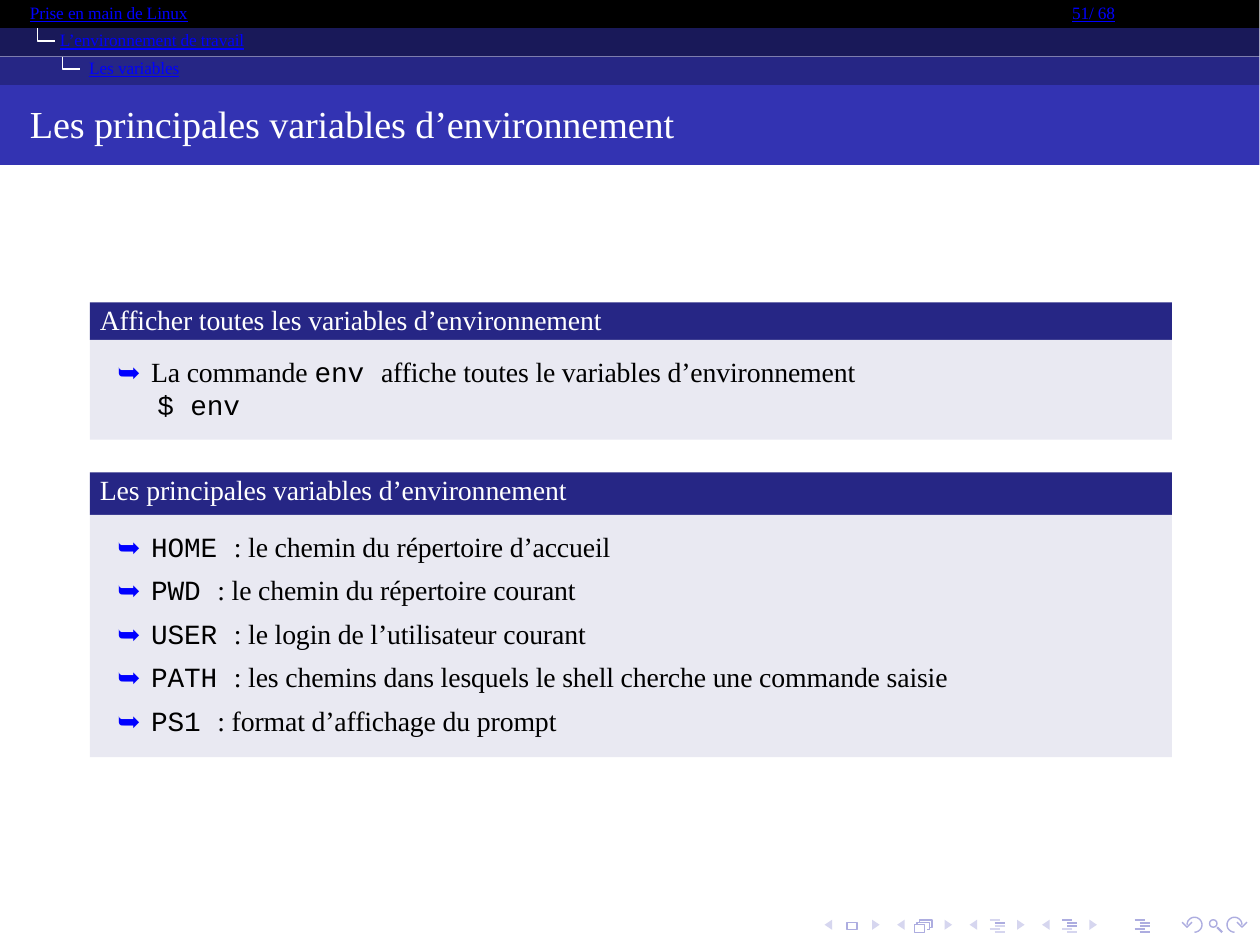
from math import cos, sin, radians
from pptx import Presentation
from pptx.dml.color import RGBColor
from pptx.enum.shapes import MSO_CONNECTOR, MSO_SHAPE
from pptx.enum.text import MSO_ANCHOR, PP_ALIGN
from pptx.oxml.ns import qn
from pptx.util import Inches, Pt
from lxml.etree import SubElement

WIDE = 5.04
SERIF, MONO, SIGN = "Times New Roman", "Courier New", "Noto Sans CJK JP"
BLUE, WHITE, BLACK = "0000FF", "FFFFFF", "000000"
NAVY, PANEL, DARK, PALE = "262685", "E9E9F2", "ADADE0", "D6D6EF"

BANDS = [BLACK, "191959", NAVY]
LINKS = [("Prise en main de Linux", 0.12, 0.7), ("51/ 68", 4.29, 0.2)]
TRAIL = ["L’environnement de travail ", " ", "Les variables"]
TITLE = "Les principales variables d’environnement"
ARROW = ("➥ ", SIGN, BLUE, 0.6)
BLOCKS = [
    ("Afficher toutes les variables d’environnement", 1.21, 1.36, 1.76, [
        (0.11, [ARROW, ("La commande ", SERIF), ("env ", MONO),
                ("affiche toutes le variables d’environnement", SERIF)]),
        (0.27, [("$ env", MONO)]),
    ], 0),
    ("Les principales variables d’environnement", 1.89, 2.06, 3.03, [
        (0.11, [ARROW, (name + " ", MONO), (": " + use, SERIF)])
        for name, use in [
            ("HOME", "le chemin du répertoire d’accueil"),
            ("PWD", "le chemin du répertoire courant"),
            ("USER", "le login de l’utilisateur courant"),
            ("PATH", "les chemins dans lesquels le shell cherche une commande saisie"),
            ("PS1", "format d’affichage du prompt"),
        ]
    ], 2.9),
]
HEAD, TALL = 0.34, 0.32
ROW = HEAD / len(BANDS)
LEFT, SPAN = 0.36, 4.33
NAV, STEP, TOP = 3.3, 0.29, 3.68
BARS = [(2, [1]), (3, [0, 1, 2]), (4, [0, 1, 2, 3, 4])]

deck = Presentation()
deck.slide_width, deck.slide_height = Pt(363), Pt(272.5)
slide = deck.slides.add_slide(deck.slide_layouts[6])
shapes = slide.shapes


def color(code):
    return RGBColor.from_string(code)


def style(shape, fill=None, line=None, width=0.4):
    shape.shadow.inherit = False
    if fill:
        shape.fill.solid()
        shape.fill.fore_color.rgb = color(fill)
    else:
        shape.fill.background()
    if line:
        shape.line.color.rgb = color(line)
        shape.line.width = Pt(width)
    else:
        shape.line.fill.background()
    return shape


def rect(x, y, w, h, fill):
    box = shapes.add_shape(MSO_SHAPE.RECTANGLE, Inches(x), Inches(y), Inches(w), Inches(h))
    return style(box, fill)


def draw(*paths, **look):
    pens = [[(Inches(x), Inches(y)) for x, y in path] for path in paths]
    form = shapes.build_freeform(*pens[0][0], scale=1.0)
    for i, pen in enumerate(pens):
        if i:
            form.move_to(*pen[0])
        form.add_line_segments(pen[1:], close=False)
    style(form.convert_to_shape(), **look)


def bar(x, y, w, code):
    line = shapes.add_connector(MSO_CONNECTOR.STRAIGHT, Inches(x), Inches(y), Inches(x + w), Inches(y))
    line.line.color.rgb = color(code)
    line.line.width = Pt(0.6)
    SubElement(line._element.spPr, qn("a:effectLst"))


def frame(shape, top):
    body = shape.text_frame
    body.word_wrap = True
    body.vertical_anchor = MSO_ANCHOR.TOP
    body.margin_left = body.margin_right = body.margin_bottom = 0
    body.margin_top = Inches(top)
    return body


def write(para, text, font=SERIF, code=BLACK, gap=-0.05, size=8, under=False):
    run = para.add_run()
    run.text = text
    run.font.name, run.font.size = font, Pt(size)
    run.font.color.rgb = color(code)
    if under:
        run.font.underline = True
    run._r.get_or_add_rPr().set("spc", str(round(gap * 100)))


def indent(para, left, first=0):
    para.alignment = PP_ALIGN.LEFT
    props = para._p.get_or_add_pPr()
    props.set("marL", str(Inches(left)))
    props.set("indent", str(Inches(first)))


def label(shape, text, top, left=0, **look):
    para = frame(shape, top).paragraphs[0]
    indent(para, left)
    write(para, text, **look)


def textbox(x, y, w, h):
    return shapes.add_textbox(Inches(x), Inches(y), Inches(w), Inches(h))


def trail():
    para = frame(textbox(0.22, 0.08, 0.77, 0.25), 0.01).paragraphs[0]
    indent(para, 0.12, -0.1)
    para.line_spacing = 1.35
    for text in TRAIL:
        if text.strip():
            write(para, text, code=BLUE, size=5, under=True)
        else:
            write(para, text, code=WHITE, size=5, gap=-1.1)


def head():
    for i, fill in enumerate(BANDS):
        rect(0, i * ROW, WIDE, ROW, fill)
    for i in range(len(BANDS) - 1):
        x, y = 0.15 + i * 0.1, (i + 1) * ROW
        draw([(x, y), (x, y + 0.05), (x + 0.07, y + 0.05)], line=WHITE)
    for text, x, w in LINKS:
        label(textbox(x, 0, w, ROW), text, 0.01, code=BLUE, size=5, under=True)
    trail()
    label(rect(0, HEAD, WIDE, TALL, "3333B2"), TITLE, 0.06, 0.12, code=WHITE, size=11)


def block(title, top, mid, end, lines, gap):
    label(rect(LEFT, top, SPAN, mid - top, NAVY), title, 0, 0.04, code=WHITE)
    body = frame(rect(LEFT, mid, SPAN, end - mid, PANEL), 0.06)
    for i, (left, runs) in enumerate(lines):
        para = body.add_paragraph() if i else body.paragraphs[0]
        indent(para, left)
        para.line_spacing = Pt(9.6)
        para.space_before = Pt(gap if i else 0)
        for run in runs:
            write(para, *run)


def nav():
    for i in range(4):
        x = NAV + i * STEP
        for tip, base in [(x, x + 0.03), (x + 0.22, x + 0.19)]:
            draw([(base, TOP), (tip, TOP + 0.02), (base, TOP + 0.04), (base, TOP)], fill=PALE)
    draw([(3.39, 3.72), (3.43, 3.72), (3.43, 3.69), (3.39, 3.69), (3.39, 3.72)], line=DARK)
    draw([(3.66, 3.73), (3.7, 3.73), (3.7, 3.7), (3.66, 3.7), (3.66, 3.73)],
         [(3.67, 3.7), (3.67, 3.69), (3.72, 3.69), (3.72, 3.72), (3.71, 3.72)],
         [(3.68, 3.69), (3.68, 3.68), (3.73, 3.68), (3.73, 3.71), (3.72, 3.71)], line=DARK)
    for col, strong in BARS:
        for i, shift in enumerate([0, 0.02, 0.02, 0, 0.02]):
            bar(NAV + col * STEP + 0.08 + shift, TOP + i * 0.05 / 4, 0.04, DARK if i in strong else PALE)
    lens = shapes.add_shape(MSO_SHAPE.OVAL, Inches(4.84), Inches(TOP), Inches(0.03), Inches(0.03))
    style(lens, line=DARK)
    draw([(4.87, 3.71), (4.89, 3.73)], line=DARK, width=0.6)
    turn = [(4.78 + 0.03 * cos(radians(a)), 3.7 + 0.03 * sin(radians(a))) for a in range(90, -181, -15)]
    hook = [(4.77, 3.69), (4.75, 3.71), (4.73, 3.69)]
    draw(turn, hook, line=DARK)
    draw(*[[(9.72 - x, y) for x, y in path] for path in (turn, hook)], line=DARK)


def main():
    nav()
    head()
    for item in BLOCKS:
        block(*item)
    deck.save("out.pptx")


if __name__ == "__main__":
    main()
